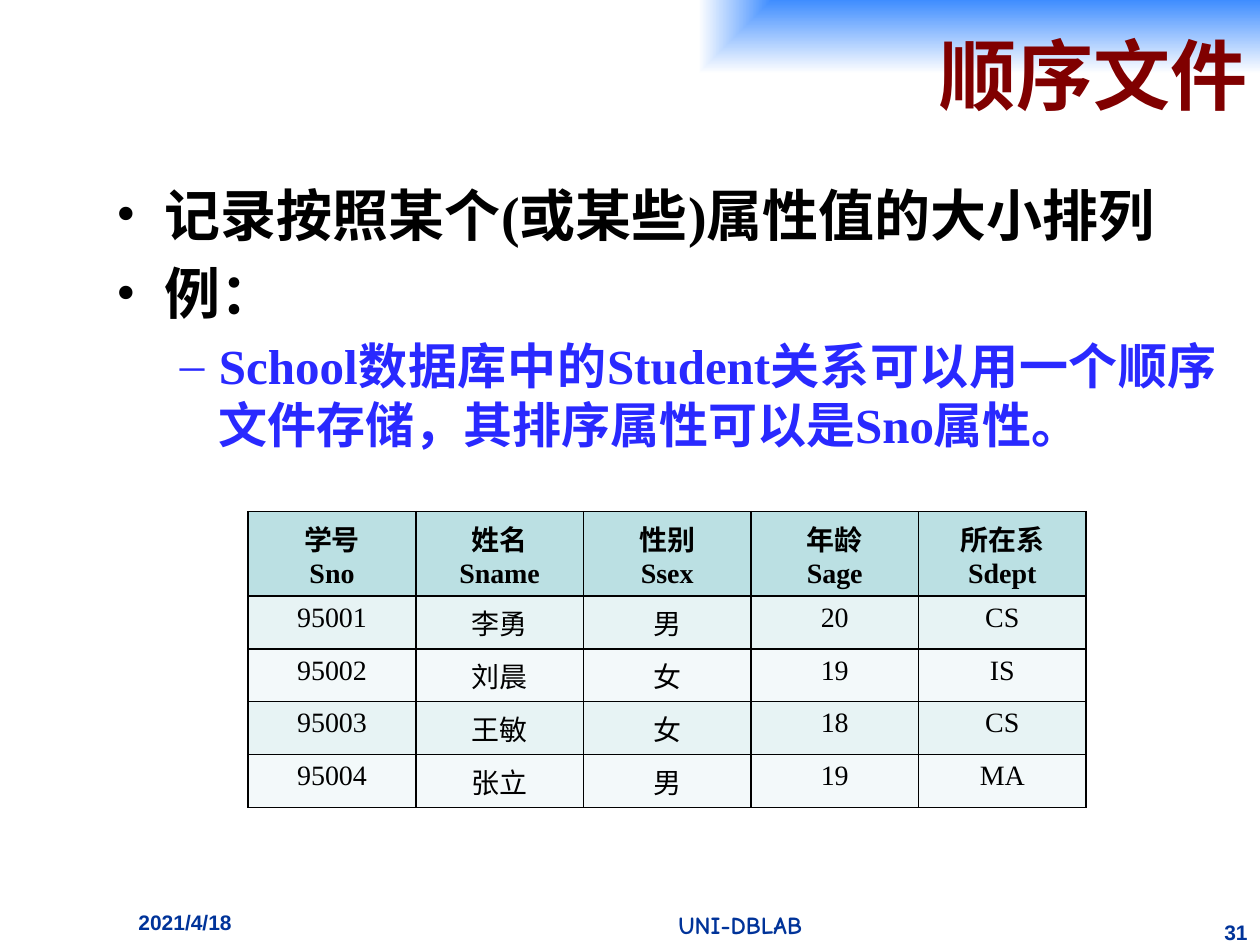
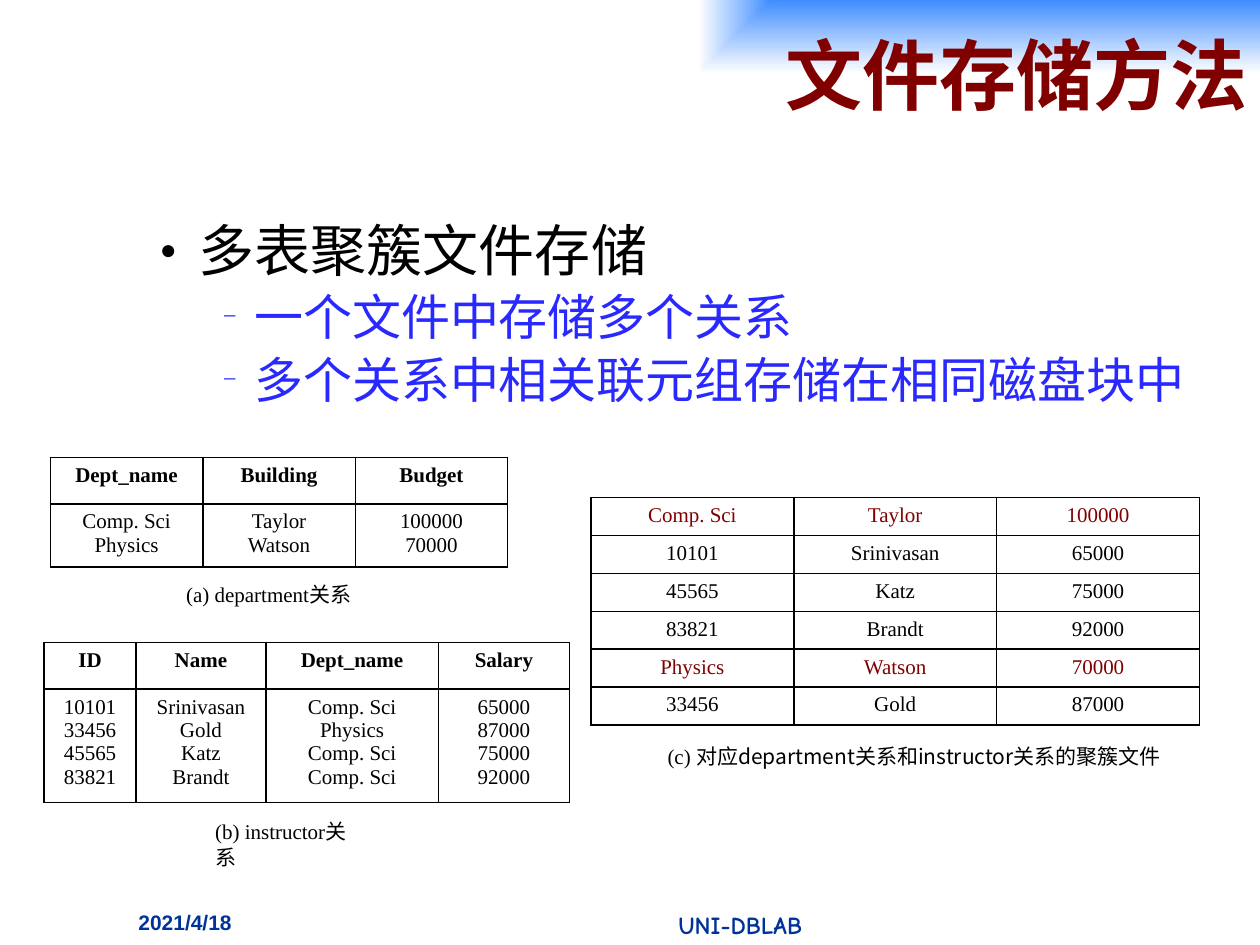
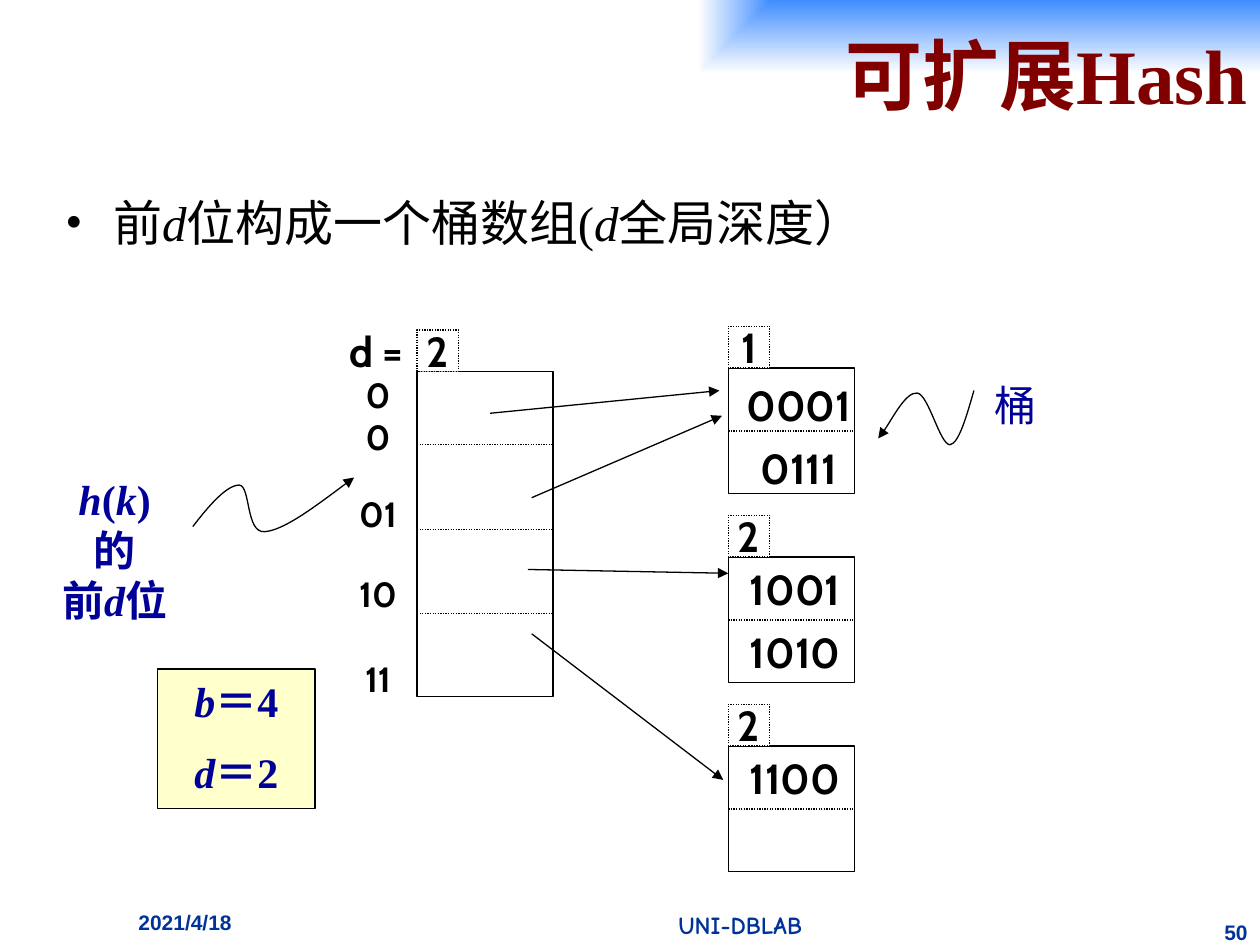
from dataclasses import dataclass, replace

from lxml import etree
from pptx import Presentation
from pptx.dml.color import RGBColor
from pptx.enum.dml import MSO_LINE
from pptx.enum.shapes import MSO_CONNECTOR, MSO_SHAPE
from pptx.enum.text import MSO_ANCHOR, PP_ALIGN
from pptx.oxml.ns import qn
from pptx.util import Inches, Pt

RECTANGLE = MSO_SHAPE.RECTANGLE
STRAIGHT = MSO_CONNECTOR.STRAIGHT
DOTTED = MSO_LINE.ROUND_DOT
LEFT, CENTER, RIGHT, JUSTIFY = PP_ALIGN.LEFT, PP_ALIGN.CENTER, PP_ALIGN.RIGHT, PP_ALIGN.JUSTIFY
TOP, MIDDLE = MSO_ANCHOR.TOP, MSO_ANCHOR.MIDDLE

COLORS = {
    "black": "000000", "white": "FFFFFF", "band": "3F8DFF", "title": "800000",
    "footer": "003399", "detail": "2929FF", "note": "000099", "note_fill": "FFFFCC",
    "header_row": "BBE0E3", "odd_row": "E7F3F4", "even_row": "F3F9FA",
}
SERIF, SANS, CABIN, COMIC = "Times New Roman", "Arial", "Cabin", "Comic Neue"
CJK, CJK_JP = "Noto Sans CJK SC", "Noto Sans CJK JP"


@dataclass(frozen=True)
class Style:
    size: float
    font: str = SERIF
    color: str = "black"
    bold: bool = False
    align: PP_ALIGN = LEFT
    before: float = 0
    east_asian: str = CJK


TITLE = Style(44, SERIF, "title", True, RIGHT)
DATE = Style(12, SANS, "footer", True)
LAB = Style(14, COMIC, "footer", True, CENTER)
NUMBER = replace(DATE, align=RIGHT)
CAPTION = Style(12)
CELL = Style(12, align=CENTER)
KEY = Style(24, CABIN, "black", True, CENTER)
NOTE = Style(24, SERIF, "note", True, CENTER)


def rgb(name):
    return RGBColor.from_string(COLORS[name])


def child(parent, tag, **attributes):
    return etree.SubElement(parent, qn(tag), attributes)


# ---- text ----
def format_run(run, style, italic=False, font=None):
    run.font.size = Pt(style.size)
    run.font.name = font or style.font
    run.font.bold = style.bold
    run.font.italic = italic
    run.font.color.rgb = rgb(style.color)
    child(run.font._element, "a:ea", typeface=style.east_asian)


def write_paragraph(paragraph, text, style, marked_font=None):
    """Text between asterisks is italic, or set in marked_font if given."""
    paragraph.alignment = style.align
    paragraph.space_before = Pt(style.before)
    for index, piece in enumerate(text.split("*")):
        if piece:
            run = paragraph.add_run()
            run.text = piece
            marked = index % 2 == 1
            format_run(run, style, marked and not marked_font,
                       marked_font if marked else None)


def write_lines(text_frame, lines, style, anchor=TOP, marked_font=None):
    text_frame.word_wrap = True
    text_frame.vertical_anchor = anchor
    for index, line in enumerate(lines):
        paragraph = text_frame.add_paragraph() if index else text_frame.paragraphs[0]
        write_paragraph(paragraph, line, style, marked_font)


def add_text(slide, box, lines, style, anchor=TOP, marked_font=None):
    shape = slide.shapes.add_textbox(*map(Inches, box))
    write_lines(shape.text_frame, lines, style, anchor, marked_font)
    return shape


def add_bullets(slide, box, items, styles, indents, marks, mark_size=100, spacing=None):
    """Each item is (level, text); styles, indents and marks are given by level."""
    shape = add_text(slide, box, [], styles[0])
    text_frame = shape.text_frame
    for index, (level, text) in enumerate(items):
        paragraph = text_frame.add_paragraph() if index else text_frame.paragraphs[0]
        write_paragraph(paragraph, text, styles[level])
        paragraph.level = level
        paragraph.line_spacing = spacing
        margin, hanging = indents[level]
        properties = paragraph._p.get_or_add_pPr()
        properties.set("marL", str(Inches(margin)))
        properties.set("indent", str(-Inches(hanging)))
        color = child(properties, "a:buClr")
        child(color, "a:srgbClr", val=COLORS[styles[level].color])
        child(properties, "a:buSzPct", val=str(mark_size * 1000))
        child(properties, "a:buFont", typeface=SERIF)
        child(properties, "a:buChar", char=marks[level])


# ---- shapes and lines ----
def add_box(slide, box, fill="white", dash=None):
    shape = slide.shapes.add_shape(RECTANGLE, *map(Inches, box))
    shape.shadow.inherit = False
    shape.fill.solid()
    shape.fill.fore_color.rgb = rgb(fill)
    style_line(shape.line, dash)
    return shape


def style_line(line, dash=None, arrow=False):
    line.color.rgb = rgb("black")
    line.width = Pt(0.75)
    if dash:
        line.dash_style = dash
    if arrow:
        child(line._get_or_add_ln(), "a:tailEnd", type="triangle")


def add_line(slide, start, end, dash=None, arrow=False):
    line = slide.shapes.add_connector(STRAIGHT, *map(Inches, (*start, *end)))
    style_line(line.line, dash, arrow)
    child(line._element.spPr, "a:effectLst")
    return line


def add_curved_arrow(slide, start, points):
    """Draw a cubic curve; points holds three control points for each segment."""
    builder = slide.shapes.build_freeform(*map(Inches, start))
    builder.add_line_segments([(Inches(x), Inches(y)) for x, y in points], close=False)
    shape = builder.convert_to_shape()
    shape.shadow.inherit = False
    shape.fill.background()
    style_line(shape.line, arrow=True)
    outline = next(shape._element.iter(qn("a:path")))
    segments = outline.findall(qn("a:lnTo"))
    for first in range(0, len(segments), 3):
        curve = child(outline, "a:cubicBezTo")
        for segment in segments[first:first + 3]:
            curve.append(segment[0])
            outline.remove(segment)


# ---- tables ----
def style_cell(cell, lines, style, fill=None):
    write_lines(cell.text_frame, lines, style)
    properties = cell._tc.get_or_add_tcPr()
    for side in ("a:lnL", "a:lnR", "a:lnT", "a:lnB"):
        border = child(properties, side, w=str(Pt(1)))
        child(child(border, "a:solidFill"), "a:srgbClr", val=COLORS["black"])
    if fill:
        cell.fill.solid()
        cell.fill.fore_color.rgb = rgb(fill)
    else:
        cell.fill.background()


def add_grid(slide, position, widths, heights, rows, styles, fills=None):
    """Line breaks in a cell's text separate its paragraphs."""
    frame = slide.shapes.add_table(
        len(rows), len(widths), *map(Inches, (*position, sum(widths), sum(heights))))
    table = frame.table
    table.first_row = table.horz_banding = False
    for column, width in zip(table.columns, widths):
        column.width = Inches(width)
    for index, (row, height) in enumerate(zip(table.rows, heights)):
        row.height = Inches(height)
        for cell, text in zip(row.cells, rows[index]):
            style_cell(cell, text.split("\n"), styles[index], fills and fills[index])


# ---- shared frame of every slide ----
def add_slide(presentation, title, number=None):
    slide = presentation.slides.add_slide(presentation.slide_layouts[6])
    band = add_box(slide, (1.08, 0, 8.92, 1.17))
    band.line.fill.background()
    band.fill.gradient()
    for stop, color in zip(band.fill.gradient_stops, ("band", "white")):
        stop.color.rgb = rgb(color)
    gradient = band._element.spPr.find(qn("a:gradFill"))
    gradient.remove(gradient.find(qn("a:lin")))
    focus = child(gradient, "a:path", path="rect")
    child(focus, "a:fillToRect", l="100000", b="100000")
    write_lines(band.text_frame, [title], TITLE, MIDDLE)

    add_text(slide, (1, 7.17, 1.75, 0.33), ["2021/4/18"], DATE)
    add_text(slide, (3.5, 7.17, 4.75, 0.33), ["UNI-DBLAB"], LAB)
    if number:
        add_text(slide, (9.48, 7.25, 0.52, 0.25), [number], NUMBER)
    return slide


# ---- slide 1: sequential file ----
def build_sequential_file(presentation):
    slide = add_slide(presentation, "顺序文件", "31")
    point = Style(32, bold=True, align=JUSTIFY, before=6.4)
    detail = replace(point, size=28, color="detail", before=5.6)
    add_bullets(slide, (0.83, 1.38, 8.93, 4.95), [
        (0, "记录按照某个(或某些)属性值的大小排列"),
        (0, "例："),
        (1, "School数据库中的Student关系可以用一个顺序文件存储，其排序属性可以是Sno属性。"),
    ], (point, detail), ((0.38, 0.38), (0.81, 0.31)), "•–")

    students = [
        ("学号\nSno", "姓名\nSname", "性别\nSsex", "年龄\nSage", "所在系\nSdept"),
        ("95001", "李勇", "男", "20", "CS"),
        ("95002", "刘晨", "女", "19", "IS"),
        ("95003", "王敏", "女", "18", "CS"),
        ("95004", "张立", "男", "19", "MA"),
    ]
    body = replace(CELL, size=16)
    add_grid(slide, (1.97, 4.06), [1.33] * 5, [0.67] + [0.42] * 4, students,
             [replace(body, bold=True)] + [body] * 4,
             ["header_row"] + ["odd_row", "even_row"] * 2)


# ---- slide 2: clustered storage ----
def build_clustered_storage(presentation):
    slide = add_slide(presentation, "文件存储方法")
    point = Style(32, before=6.4)
    detail = Style(28, color="detail", before=5.6)
    add_bullets(slide, (1.17, 1.72, 8.55, 4.22), [
        (0, "多表聚簇文件存储"),
        (1, "一个文件中存储多个关系"),
        (1, "多个关系中相关联元组存储在相同磁盘块中"),
    ], (point, detail), ((0.31, 0.31), (0.75, 0.25)), "●−", 50, 0.9)

    header = replace(CELL, bold=True)
    add_grid(slide, (0.4, 3.63), [1.21] * 3, [0.37, 0.47], [
        ("Dept_name", "Building", "Budget"),
        ("Comp. Sci\nPhysics", "Taylor\nWatson", "100000\n70000"),
    ], (header, CELL))
    add_grid(slide, (0.35, 5.1), [0.73, 1.03, 1.37, 1.04], [0.37, 0.84], [
        ("ID", "Name", "Dept_name", "Salary"),
        ("10101\n33456\n45565\n83821", "Srinivasan\nGold\nKatz\nBrandt",
         "Comp. Sci\nPhysics\nComp. Sci\nComp. Sci", "65000\n87000\n75000\n92000"),
    ], (header, CELL))

    department = replace(CELL, color="title")
    add_grid(slide, (4.69, 3.95), [1.61] * 3, [0.29] * 6, [
        ("Comp. Sci", "Taylor", "100000"),
        ("10101", "Srinivasan", "65000"),
        ("45565", "Katz", "75000"),
        ("83821", "Brandt", "92000"),
        ("Physics", "Watson", "70000"),
        ("33456", "Gold", "87000"),
    ], [department] + [CELL] * 3 + [department, CELL])

    add_text(slide, (1.38, 4.57, 1.57, 0.3), ["(a) department关系"], CAPTION)
    add_text(slide, (1.61, 6.45, 1.4, 0.3), ["(b) instructor关系"], CAPTION)
    add_text(slide, (5.2, 5.85, 4.17, 0.3),
             ["(c) 对应*department关系*和*instructor关系*的聚簇文件"],
             CAPTION, marked_font=CJK)


# ---- slide 3: extendible hashing ----
def add_depth_tag(slide, left, bottom, depth):
    tag = add_box(slide, (left, bottom - 0.33, 0.33, 0.33), dash=DOTTED)
    text_frame = tag.text_frame
    text_frame.margin_left = text_frame.margin_right = 0
    text_frame.margin_top = text_frame.margin_bottom = 0
    write_lines(text_frame, [depth], KEY, MIDDLE)


def add_bucket(slide, top, depth, keys, key_left=5.78, key_offset=0):
    left = 5.78
    bucket = add_box(slide, (left, top, 1, 1))
    add_depth_tag(slide, left, top, depth)
    divider = add_line(slide, (left, top + 0.5), (left + 1, top + 0.5), DOTTED)
    divider.begin_connect(bucket, 1)
    divider.end_connect(bucket, 3)
    for index, key in enumerate(keys):
        key_top = top + key_offset + 0.5 * index
        add_text(slide, (key_left, key_top, 1.06, 0.51), [key], KEY, MIDDLE)


def add_directory(slide):
    left, top, width = 3.31, 2.95, 1.08
    add_box(slide, (left, top, width, 2.58))
    add_depth_tag(slide, left, top, "2")
    for index in range(3):
        y = top + 0.58 + 0.67 * index
        add_line(slide, (left, y), (left + width, y), DOTTED)
    add_text(slide, (2.59, 2.53, 0.79, 0.51), ["d ="], KEY, MIDDLE)

    prefixes = add_text(slide, (2.72, 3.03, 0.56, 2.46), ["00", "01", "10", "11"],
                        replace(KEY, size=20, before=10), MIDDLE)
    for paragraph, spacing in zip(prefixes.text_frame.paragraphs, (1.0, 1.4, 1.5, 1.6)):
        paragraph.line_spacing = spacing


def build_extendible_hash(presentation):
    slide = add_slide(presentation, "可扩展Hash", "50")
    add_bullets(slide, (0.42, 1.48, 9.43, 0.59),
                [(0, "前*d*位构成一个桶数组(*d*全局深度）")],
                [Style(28, before=5.6)], [(0.38, 0.38)], "•")

    # Buckets, directory and the pointers between them
    add_bucket(slide, 2.92, "1", ["0001", "0111"], 5.81, 0.04)
    add_bucket(slide, 4.42, "2", ["1001", "1010"])
    add_bucket(slide, 5.92, "2", ["1100"])
    add_directory(slide)
    pointers = [
        ((3.89, 3.28), (5.71, 3.1)),
        ((4.22, 3.95), (5.73, 3.3)),
        ((4.19, 4.52), (5.78, 4.55)),
        ((4.22, 5.03), (5.74, 6.19)),
    ]
    for start, end in pointers:
        add_line(slide, start, end, arrow=True)

    # Notes and the curved arrows that lead from them
    parameters = add_box(slide, (1.25, 5.31, 1.25, 1.11), "note_fill")
    write_lines(parameters.text_frame, ["*b*＝4", "*d*＝2"], replace(NOTE, before=12))
    add_text(slide, (0.36, 3.71, 1.1, 0.91), ["*h*(*k*)的", "前*d*位"], NOTE)
    add_curved_arrow(slide, (1.53, 4.18), [
        (1.66, 4.01), (1.8, 3.85), (1.9, 3.85),
        (1.99, 3.86), (1.95, 4.23), (2.1, 4.22),
        (2.25, 4.21), (2.53, 4), (2.81, 3.79)])
    add_text(slide, (7.79, 2.96, 0.54, 0.51), ["桶"],
             replace(NOTE, font=CJK_JP, east_asian=CJK_JP, bold=False))
    add_curved_arrow(slide, (7.73, 3.1), [
        (7.67, 3.31), (7.61, 3.52), (7.54, 3.53),
        (7.46, 3.53), (7.37, 3.13), (7.28, 3.12),
        (7.19, 3.11), (7.03, 3.42), (6.97, 3.48)])


def main():
    presentation = Presentation()
    presentation.slide_width = Inches(10)
    presentation.slide_height = Inches(7.5)
    build_sequential_file(presentation)
    build_clustered_storage(presentation)
    build_extendible_hash(presentation)
    presentation.save("out.pptx")


if __name__ == "__main__":
    main()
